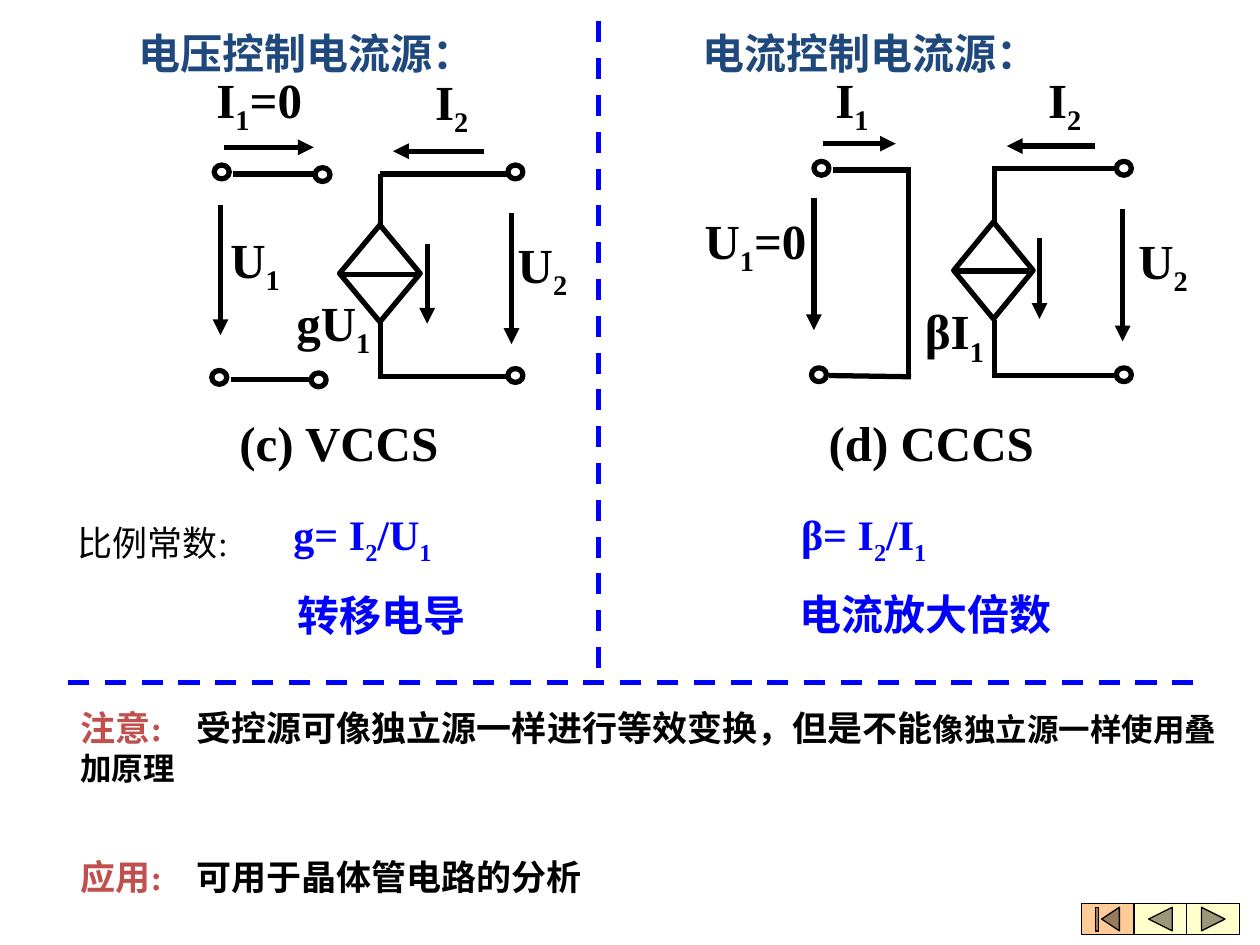
import pptx
import pptx.util
import pptx.dml.color
import pptx.enum.dml
import pptx.enum.shapes
import pptx.enum.text
import pptx.oxml
import pptx.oxml.ns

Pt = pptx.util.Pt
KIND = pptx.enum.shapes.MSO_SHAPE
ALIGN = pptx.enum.text.PP_ALIGN
ANCHOR = pptx.enum.text.MSO_ANCHOR
NS = pptx.oxml.ns.nsdecls("a")

COLORS = {"ink": "000000", "blue": "0000FF", "navy": "1F497D",
          "red": "C0504D", "cream": "FFFFCC", "peach": "FFCC99"}
ROMAN, HAN = "Times New Roman", "Noto Sans CJK SC"

# Text formats: size, bold and name go straight to the font
FORMATS = {
    "title": {"size": Pt(24), "bold": True, "name": HAN, "color": "navy"},
    "label": {"size": Pt(28), "bold": True, "name": ROMAN, "color": "ink"},
    "ratio": {"size": Pt(24), "bold": True, "name": ROMAN, "color": "blue"},
    "plain": {"size": Pt(20), "bold": False, "name": ROMAN, "color": "ink"},
    "head": {"size": Pt(20), "bold": True, "name": ROMAN, "color": "red"},
    "body": {"size": Pt(20), "bold": True, "name": ROMAN, "color": "ink"},
    "small": {"size": Pt(18), "bold": True, "name": HAN, "color": "ink"},
}

# Circuits: labels are (text, box, centred, wrapped), "_" lowers the next sign;
# wires and arrows are (x1, y1, x2, y2); rings are (left, top)
CIRCUITS = [
    {
        "title": ("电压控制电流源：", (72, 12.2, 246, 36)),
        "labels": [
            ("I_1=0", (116.6, 38.2, 64.8, 41), False, True),
            ("I_2", (238.3, 39.6, 39.6, 41), True, True),
            ("U_1", (123.8, 129.6, 43.9, 41), True, False),
            ("U_2", (277.9, 132.5, 64.1, 41), True, True),
            ("gU_1", (161.3, 165.6, 58.3, 41), True, False),
            ("(c) VCCS", (102.2, 231.8, 182.9, 41), True, True),
        ],
        "wires": [
            (290.2, 99.4, 217.4, 99.4), (290.2, 215.3, 217.4, 215.3),
            (195.1, 157, 238.3, 157), (217.4, 216.7, 217.4, 184.3),
            (217.4, 130.3, 217.4, 99.4), (180, 99.4, 133.2, 99.4),
            (177.8, 216.7, 131.8, 216.7),
        ],
        "arrows": [
            (126, 117.4, 126, 191.5), (292.3, 121.7, 292.3, 196.6),
            (244.1, 139.7, 244.1, 185), (128.2, 84.2, 179.3, 84.2),
            (276.5, 86.4, 224.6, 86.4),
        ],
        "rings": [(290.2, 94.3), (290.2, 210.6), (122.4, 94.3),
                  (180, 95.8), (121, 211.7), (177.8, 213.1)],
        "source": (189.4, 133.2, 55.4, 46.1),
    },
    {
        "title": ("电流控制电流源：", (394.6, 12.2, 263.5, 36)),
        "labels": [
            ("I_1", (470.2, 38.2, 42.5, 41), False, True),
            ("I_2", (589, 38.2, 38.9, 41), True, True),
            ("U_1=0", (394.6, 118.8, 74.2, 41), True, False),
            ("U_2", (639.4, 130.3, 50.4, 41), True, True),
            ("βI_1", (511.9, 170.6, 67, 41), True, True),
            ("(d) CCCS", (452.2, 231.8, 159.8, 41), True, True),
        ],
        "wires": [
            (519.1, 216.7, 519.1, 97.9), (637.9, 96.5, 566.6, 96.5),
            (637.9, 214.6, 566.6, 214.6), (545.8, 154.8, 588.2, 154.8),
            (568.1, 213.8, 568.1, 182.9), (568.1, 128.2, 568.1, 97.2),
            (520.6, 97.2, 475.9, 97.2), (520.6, 215.3, 473.8, 214.6),
        ],
        "arrows": [
            (465.1, 113, 465.1, 188.6), (641.5, 119.5, 641.5, 195.1),
            (594, 136.1, 594, 182.2), (470.2, 82.1, 511.9, 82.1),
            (625.7, 83.5, 575.3, 83.5),
        ],
        "rings": [(637.9, 92.2), (637.9, 210.2), (465.1, 92.2), (463.7, 210.2)],
        "source": (540, 131.8, 55.4, 45.4),
    },
]

# Notes: (runs, box, wrapped)
NOTES = [
    ([("比例常数:", "plain")], (37.4, 294.5, 102.2, 31.7), False),
    ([("g= I_2/U_1", "ratio")], (160.6, 287.3, 138.2, 36.7), True),
    ([("转移电导", "ratio")], (162.7, 333.4, 111.6, 36.7), False),
    ([("β= I_2/I_1", "ratio")], (450.7, 287.3, 89.3, 36.7), False),
    ([("电流放大倍数", "ratio")], (450, 332.6, 208, 36.7), True),
    ([("注意:\t", "head"),
      ("受控源可像独立源一样进行等效变换，但是不能", "body"),
      ("像独立源一样使用叠加原理", "small")], (38.9, 400.3, 668.9, 53.3), True),
    ([("应用:\t", "head"), ("可用于晶体管电路的分析", "body")],
     (38.9, 485.3, 506.9, 31.7), True),
]
RULES = [(342, 12.2, 342, 390.2), (38.9, 390.2, 689.8, 390.2)]
BUTTONS = [(KIND.ACTION_BUTTON_BEGINNING, "peach"),
           (KIND.ACTION_BUTTON_BACK_OR_PREVIOUS, "cream"),
           (KIND.ACTION_BUTTON_FORWARD_OR_NEXT, "cream")]


def tint(name):
    return pptx.dml.color.RGBColor.from_string(COLORS[name])


def add_run(para, text, style, low=False):
    run = para.add_run()
    run.text = text
    for key, value in FORMATS[style].items():
        if key == "color":
            run.font.color.rgb = tint(value)
        else:
            setattr(run.font, key, value)
    props = run.font._element
    props.append(pptx.oxml.parse_xml(f'<a:ea {NS} typeface="{HAN}"/>'))
    if low:
        props.set("baseline", "-25000")


def add_text(shapes, runs, box, wrap=True, middle=False, align=ALIGN.LEFT):
    frame = shapes.add_textbox(*map(Pt, box)).text_frame
    frame.word_wrap = wrap
    frame.auto_size = pptx.enum.text.MSO_AUTO_SIZE.SHAPE_TO_FIT_TEXT
    frame.vertical_anchor = ANCHOR.MIDDLE if middle else ANCHOR.TOP
    para = frame.paragraphs[0]
    para.alignment = align
    if "\t" in runs[0][0]:
        para._p.get_or_add_pPr().append(pptx.oxml.parse_xml(
            f'<a:tabLst {NS}><a:tab pos="{Pt(66.3)}" algn="l"/></a:tabLst>'))
    for text, style in runs:
        first, *rest = text.split("_")
        add_run(para, first, style)
        for part in rest:
            add_run(para, part[0], style, low=True)
            if part[1:]:
                add_run(para, part[1:], style)


def add_line(shapes, ends, color="ink", arrow=False, dash=False):
    line = shapes.add_connector(
        pptx.enum.shapes.MSO_CONNECTOR.STRAIGHT, *map(Pt, ends))
    line.line.width = Pt(3)
    line.line.color.rgb = tint(color)
    if dash:
        line.line.dash_style = pptx.enum.dml.MSO_LINE.DASH
    if arrow:
        line.line._get_or_add_ln().append(
            pptx.oxml.parse_xml(f'<a:tailEnd {NS} type="triangle"/>'))
    line._element.spPr.append(pptx.oxml.parse_xml(f"<a:effectLst {NS}/>"))


def add_shape(shapes, kind, box, width=3, fill=None):
    shape = shapes.add_shape(kind, *map(Pt, box))
    shape.shadow.inherit = False
    shape.line.width = Pt(width)
    shape.line.color.rgb = tint("ink")
    if fill:
        shape.fill.solid()
        shape.fill.fore_color.rgb = tint(fill)
    else:
        shape.fill.background()
    return shape


def add_circuit(shapes, part):
    for ends in part["wires"]:
        add_line(shapes, ends)
    for ends in part["arrows"]:
        add_line(shapes, ends, arrow=True)
    for left, top in part["rings"]:
        add_shape(shapes, KIND.OVAL, (left, top, 8.6, 7.9))
    add_shape(shapes, KIND.FLOWCHART_DECISION, part["source"]).rotation = 270
    for text, box, mid, wrap in part["labels"]:
        add_text(shapes, [(text, "label")], box, wrap, True,
                 ALIGN.CENTER if mid else ALIGN.LEFT)
    text, box = part["title"]
    add_text(shapes, [(text, "title")], box)


def main():
    deck = pptx.Presentation()
    deck.slide_width, deck.slide_height = Pt(720), Pt(540)
    shapes = deck.slides.add_slide(deck.slide_layouts[6]).shapes

    # Notes, then one group per circuit
    for runs, box, wrap in NOTES:
        add_text(shapes, runs, box, wrap)
    for part in CIRCUITS:
        add_circuit(shapes.add_group_shape().shapes, part)

    # Dividers and page buttons
    for ends in RULES:
        add_line(shapes, ends, "blue", dash=True)
    for i, (kind, fill) in enumerate(BUTTONS):
        add_shape(shapes, kind, (617.8 + 30.2 * i, 516.2, 30.2, 18), 0.75, fill)

    deck.save("out.pptx")


if __name__ == "__main__":
    main()
